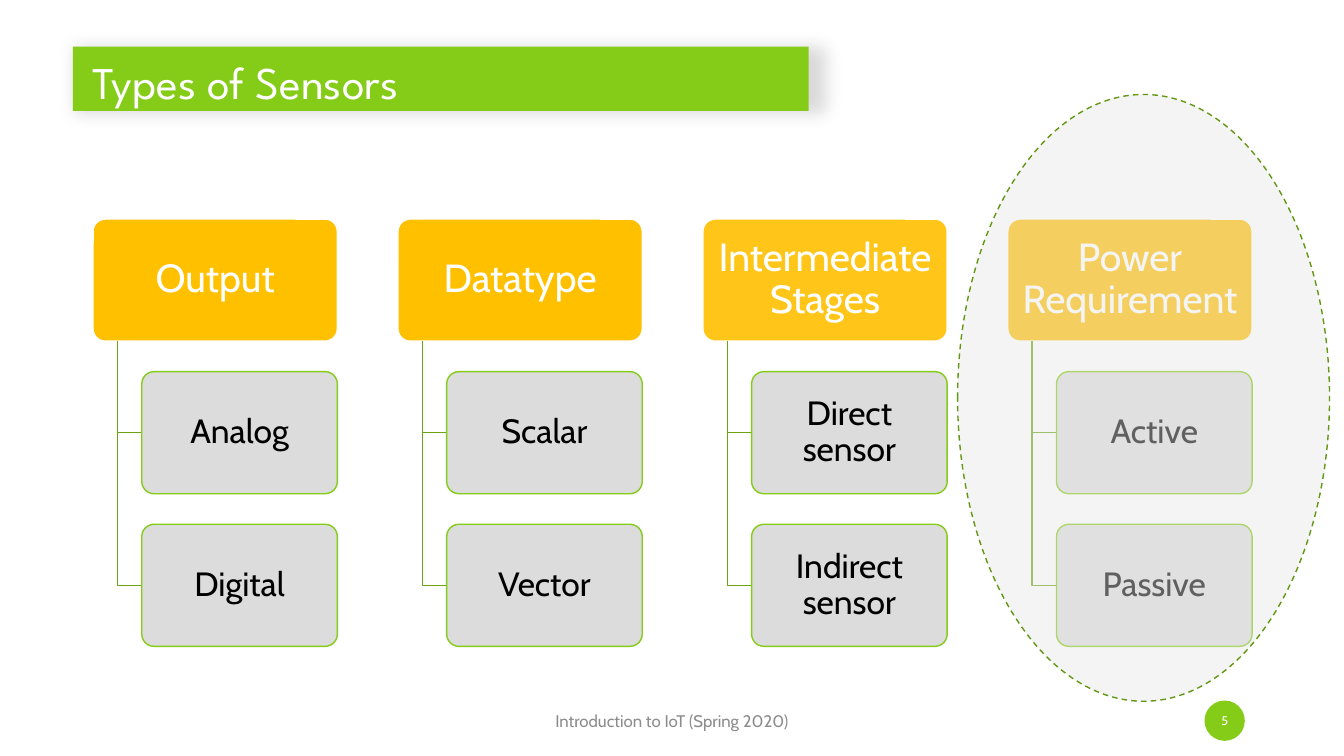
from lxml import etree
from pptx import Presentation
from pptx.dml.color import RGBColor
from pptx.enum.dml import MSO_LINE
from pptx.enum.shapes import MSO_SHAPE
from pptx.enum.text import MSO_ANCHOR, MSO_AUTO_SIZE, PP_ALIGN
from pptx.oxml.ns import qn
from pptx.util import Pt

ROUND, OVAL = MSO_SHAPE.ROUNDED_RECTANGLE, MSO_SHAPE.OVAL
DOT = MSO_SHAPE.FLOWCHART_CONNECTOR
DASH = MSO_LINE.DASH
MIDDLE, LEFT, CENTER = MSO_ANCHOR.MIDDLE, PP_ALIGN.LEFT, PP_ALIGN.CENTER
NO_FIT = MSO_AUTO_SIZE.NONE

GREEN, DEEP, AMBER = "85CC18", "6BA313", "FFC000"
WHITE, BLACK, GRAY = "FFFFFF", "000000", "D9D9D9"

GROUPS = [
    ("Output", ["Analog", "Digital"]),
    ("Datatype", ["Scalar", "Vector"]),
    ("Intermediate Stages", ["Direct sensor", "Indirect sensor"]),
    ("Power Requirement", ["Active", "Passive"]),
]
X, Y = 66.5, 156.5
STEP, ROW = 217.8, 109
HEAD, ITEM, TALL = 174.5, 139.7, 87.2
STEM, SHIFT = 17.4, 34.8


def rgb(code):
    return RGBColor.from_string(code)


class Deck:
    def __init__(self, font):
        self.font = font
        self.prs = Presentation()
        self.prs.slide_width, self.prs.slide_height = Pt(960), Pt(540)
        self.slide = self.prs.slides.add_slide(self.prs.slide_layouts[5])

    def paint(self, shape, code, alpha=100):
        """Fill a shape; alpha is its opacity in percent."""
        shape.fill.solid()
        shape.fill.fore_color.rgb = rgb(code)
        if alpha < 100:
            tone = shape.fill._xPr.find(".//" + qn("a:srgbClr"))
            etree.SubElement(tone, qn("a:alpha"), val=str(alpha * 1000))

    def edge(self, shape, code, dash=None):
        shape.line.color.rgb = rgb(code)
        shape.line.width = Pt(1)
        if dash:
            shape.line.dash_style = dash

    def words(self, shape, text, size, color, pads, align=CENTER, font=None, gap=1.0):
        """Set one paragraph; pads are left, top, right and bottom."""
        frame = shape.text_frame
        frame.word_wrap, frame.auto_size = True, NO_FIT
        frame.vertical_anchor = MIDDLE
        (frame.margin_left, frame.margin_top,
         frame.margin_right, frame.margin_bottom) = map(Pt, pads)
        frame.text = text
        para = frame.paragraphs[0]
        para.alignment, para.line_spacing = align, gap
        para.font.size, para.font.name = Pt(size), font or self.font
        para.font.color.rgb = rgb(color)

    def title(self, text, box, font):
        shape = self.slide.shapes.title
        shape.left, shape.top, shape.width, shape.height = map(Pt, box)
        self.paint(shape, GREEN)
        glow = etree.SubElement(shape._element.spPr, qn("a:effectLst"))
        cast = etree.SubElement(glow, qn("a:outerShdw"), blurRad=str(Pt(12)),
                                dist="0", sx="102000", sy="102000", algn="tl")
        tone = etree.SubElement(cast, qn("a:srgbClr"), val=BLACK)
        etree.SubElement(tone, qn("a:alpha"), val="14000")
        self.words(shape, text, 32.4, WHITE, (14.4, 3.6, 14.4, 0), LEFT, font)

    def shape(self, kind, box, fill, alpha=100, line=None, dash=None):
        shape = self.slide.shapes.add_shape(kind, *map(Pt, box))
        shape.shadow.inherit = False
        self.paint(shape, fill, alpha)
        if line:
            self.edge(shape, line, dash)
        else:
            shape.line.fill.background()
        return shape

    def card(self, box, text, size, color, fill, line, alpha=100):
        shape = self.shape(ROUND, box, fill, alpha, line)
        shape.adjustments[0] = 0.1
        self.words(shape, text, size, color, (6, 5, 6, 5), gap=0.9)

    def elbow(self, x, top, low, end):
        """Draw a line down from (x, top) to low, then across to end."""
        trace = self.slide.shapes.build_freeform(Pt(x), Pt(top))
        trace.add_line_segments([(Pt(x), Pt(low)), (Pt(end), Pt(low))], close=False)
        shape = trace.convert_to_shape()
        shape.shadow.inherit = False
        shape.fill.background()
        self.edge(shape, DEEP)

    def label(self, box, text, size, color):
        shape = self.slide.shapes.add_textbox(*map(Pt, box))
        self.words(shape, text, size, color, (7.2, 3.6, 7.2, 3.6))


def main():
    deck = Deck("Cabin")
    deck.title("Types of Sensors", (52, 33.3, 525.6, 46), "League Spartan")

    for col, (name, items) in enumerate(GROUPS):
        x = X + col * STEP
        alpha = 90 if name == "Intermediate Stages" else 100
        deck.card((x, Y, HEAD, TALL), name, 28, WHITE, AMBER, WHITE, alpha)
        for row, item in enumerate(items, 1):
            y = Y + row * ROW
            deck.elbow(x + STEM, Y + TALL, y + TALL / 2, x + SHIFT)
            deck.card((x + SHIFT, y, ITEM, TALL), item, 24, BLACK, GRAY, GREEN, 90)

    deck.label((318, 500.4, 324, 28.8), "Introduction to IoT (Spring 2020)", 12, "8C8C8C")
    page = deck.shape(DOT, (860.4, 500.4, 28.8, 28.8), GREEN)
    deck.words(page, "5", 9, WHITE, (0, 3.6, 0, 3.6))
    deck.shape(OVAL, (684, 67.5, 265.7, 433.4), "E7E6E6", 42, "629712", DASH)
    deck.prs.save("out.pptx")


if __name__ == "__main__":
    main()
